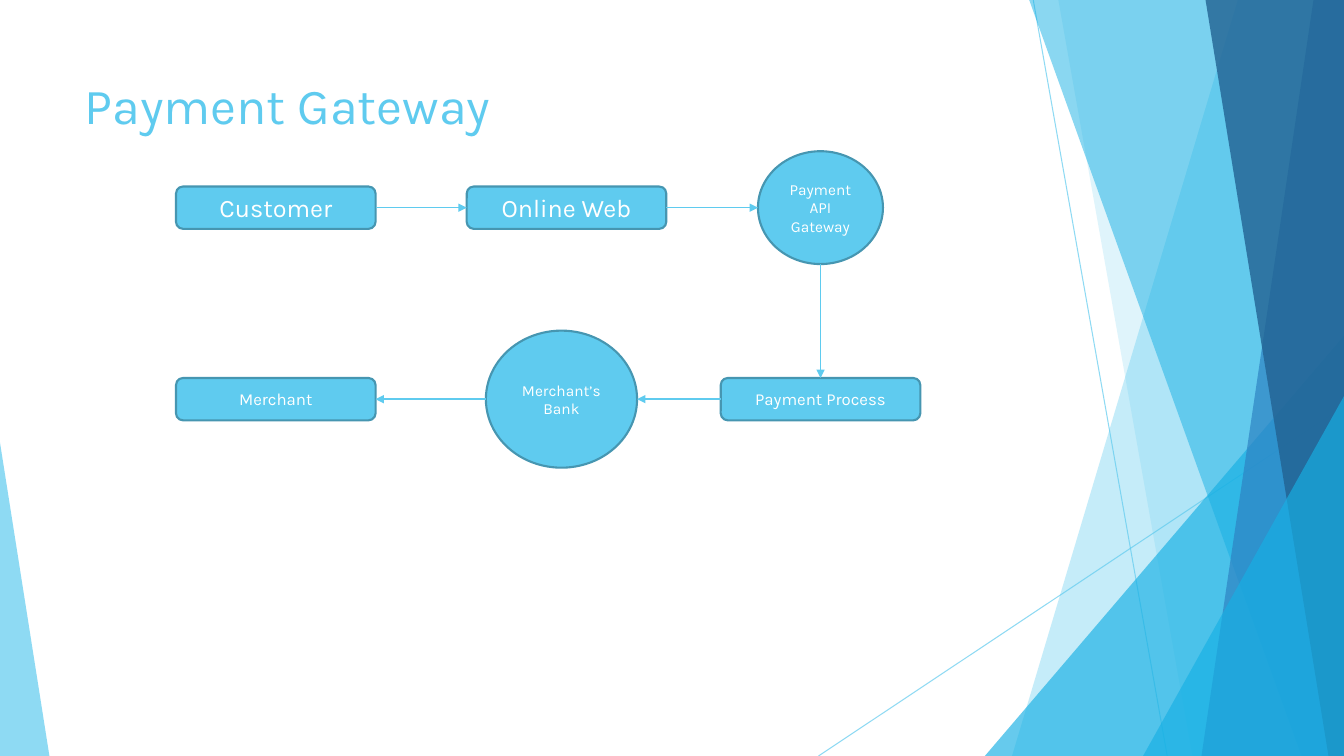
"""Build the Payment Gateway flow slide; lengths are percent shares of the slide."""
import dataclasses
import typing

import pptx
import pptx.dml.color
import pptx.enum.shapes
import pptx.enum.text
import pptx.oxml
import pptx.oxml.ns
import pptx.util

COLORS = {
    "sky": "5FCBEF",
    "cyan": "17B0E4",
    "blue": "2E83C3",
    "navy": "226292",
    "outline": "4696B1",
    "white": "FFFFFF",
}
FONT = "Karla"
SHAPES = pptx.enum.shapes.MSO_SHAPE
Point = tuple[float, float]


@dataclasses.dataclass(frozen=True)
class Ray:
    """A thin decorative line."""
    start: Point
    end: Point


@dataclasses.dataclass(frozen=True)
class Band:
    """A full-height facet with a slanted left edge, reaching the right edge."""
    top_x: float
    bottom_x: float
    color: str
    opacity: int


@dataclasses.dataclass(frozen=True)
class Wedge:
    """A right-angled triangle standing on the bottom edge."""
    left: float
    right: float
    top: float
    apex: float
    color: str
    opacity: int


@dataclasses.dataclass(frozen=True)
class Node:
    """One step of the payment flow, placed by its centre."""
    text: str
    x: float
    y: float
    font_size: int
    width: float = 14.85
    height: float = 5.6
    kind: typing.Any = SHAPES.ROUNDED_RECTANGLE

    def edge(self, side_x: int, side_y: int) -> Point:
        """Return the middle of the side that lies in the given direction."""
        return self.x + side_x * self.width / 2, self.y + side_y * self.height / 2


TOP_ROW, BOTTOM_ROW = 27.47, 52.8
LEFT_COLUMN, RIGHT_COLUMN = 20.52, 61.05
CUSTOMER = Node("Customer", LEFT_COLUMN, TOP_ROW, 18)
ONLINE_WEB = Node("Online Web", 42.15, TOP_ROW, 18)
GATEWAY = Node("Payment API Gateway", RIGHT_COLUMN, TOP_ROW, 11, 9.3, 14.93, SHAPES.OVAL)
PROCESS = Node("Payment Process", RIGHT_COLUMN, BOTTOM_ROW, 12)
BANK = Node("Merchant’s Bank", 41.78, BOTTOM_ROW, 11, 11.25, 18.13, SHAPES.OVAL)
MERCHANT = Node("Merchant", LEFT_COLUMN, BOTTOM_ROW, 12)
FLOW = [CUSTOMER, ONLINE_WEB, GATEWAY, PROCESS, BANK, MERCHANT]
RIGHT, DOWN, LEFT = (1, 0), (0, 1), (-1, 0)
DIRECTIONS = [RIGHT, RIGHT, DOWN, LEFT, LEFT]

BACKDROP = [
    Ray((76.88, 0), (86.85, 100)),
    Ray((100, 53.73), (60.9, 100)),
    Band(92.1, 75.3, "sky", 36),
    Band(78.75, 88.73, "sky", 20),
    Wedge(73.28, 100, 44.4, 1, "cyan", 66),
    Band(76.58, 96.83, "cyan", 50),
    Band(97.73, 89.4, "blue", 70),
    Band(89.7, 98.85, "navy", 80),
    Wedge(85.05, 100, 52.4, 1, "cyan", 66),
    Wedge(0, 3.68, 58.53, 0, "sky", 70),
]

presentation = pptx.Presentation()
presentation.slide_width = pptx.util.Inches(13.333)
presentation.slide_height = pptx.util.Inches(7.5)
slide = presentation.slides.add_slide(presentation.slide_layouts[6])


def across(share: float) -> int:
    """Convert a share of the slide width to a length."""
    return round(presentation.slide_width * share / 100)


def down(share: float) -> int:
    """Convert a share of the slide height to a length."""
    return round(presentation.slide_height * share / 100)


def rgb(name: str) -> pptx.dml.color.RGBColor:
    """Look up a named colour."""
    return pptx.dml.color.RGBColor.from_string(COLORS[name])


def set_opacity(shape: typing.Any, opacity: int) -> None:
    """Make the colours of a shape's fill and line translucent."""
    for color in shape.element.spPr.iter(pptx.oxml.ns.qn("a:srgbClr")):
        alpha = pptx.oxml.parse_xml(f'<a:alpha {pptx.oxml.ns.nsdecls("a")} val="{opacity * 1000}"/>')
        color.append(alpha)


def draw_line(start: Point, end: Point, width: float) -> typing.Any:
    """Draw a straight line without a shadow."""
    line = slide.shapes.add_connector(
        pptx.enum.shapes.MSO_CONNECTOR.STRAIGHT,
        across(start[0]), down(start[1]), across(end[0]), down(end[1]))
    line.line.color.rgb = rgb("sky")
    line.line.width = pptx.util.Pt(width)
    line.element.spPr.append(pptx.oxml.parse_xml(f'<a:effectLst {pptx.oxml.ns.nsdecls("a")}/>'))
    return line


def draw_arrow(source: Node, target: Node, direction: tuple[int, int]) -> None:
    """Join two steps with an arrow pointing in the given direction."""
    step_x, step_y = direction
    arrow = draw_line(source.edge(step_x, step_y), target.edge(-step_x, -step_y), 1)
    head = pptx.oxml.parse_xml(f'<a:tailEnd {pptx.oxml.ns.nsdecls("a")} type="triangle"/>')
    arrow.line.color.rgb = rgb("sky")
    arrow.element.spPr.find(pptx.oxml.ns.qn("a:ln")).append(head)


def draw_facet(facet: Band | Wedge) -> None:
    """Draw a translucent facet without an outline."""
    if isinstance(facet, Band):
        builder = slide.shapes.build_freeform(across(facet.top_x), 0)
        corners = [(100, 0), (100, 100), (facet.bottom_x, 100)]
        builder.add_line_segments([(across(x), down(y)) for x, y in corners])
        shape = builder.convert_to_shape()
    else:
        shape = slide.shapes.add_shape(
            SHAPES.ISOSCELES_TRIANGLE, across(facet.left), down(facet.top),
            across(facet.right - facet.left), down(100 - facet.top))
        shape.adjustments[0] = facet.apex
    shape.shadow.inherit = False
    shape.fill.solid()
    shape.fill.fore_color.rgb = rgb(facet.color)
    shape.line.fill.background()
    set_opacity(shape, facet.opacity)


def write_text(shape: typing.Any, text: str, size: int, color: str) -> typing.Any:
    """Put one vertically centred paragraph in a shape and return it."""
    frame = shape.text_frame
    frame.word_wrap = True
    frame.vertical_anchor = pptx.enum.text.MSO_ANCHOR.MIDDLE
    paragraph = frame.paragraphs[0]
    paragraph.text = text
    paragraph.font.name = FONT
    paragraph.font.size = pptx.util.Pt(size)
    paragraph.font.color.rgb = rgb(color)
    return paragraph


def draw_node(node: Node) -> None:
    """Draw one step of the flow."""
    left, top = node.x - node.width / 2, node.y - node.height / 2
    shape = slide.shapes.add_shape(
        node.kind, across(left), down(top), across(node.width), down(node.height))
    shape.shadow.inherit = False
    shape.fill.solid()
    shape.fill.fore_color.rgb = rgb("sky")
    shape.line.color.rgb = rgb("outline")
    shape.line.width = pptx.util.Pt(1.5)
    paragraph = write_text(shape, node.text, node.font_size, "white")
    paragraph.alignment = pptx.enum.text.PP_ALIGN.CENTER


for item in BACKDROP:
    if isinstance(item, Ray):
        set_opacity(draw_line(item.start, item.end, 0.75), 70)
    else:
        draw_facet(item)
title = slide.shapes.add_textbox(across(5.55), down(8.93), across(70.5), down(9.73))
write_text(title, "Payment Gateway", 36, "sky")
for step in FLOW:
    draw_node(step)
for origin, destination, heading in zip(FLOW, FLOW[1:], DIRECTIONS):
    draw_arrow(origin, destination, heading)
presentation.save("out.pptx")
